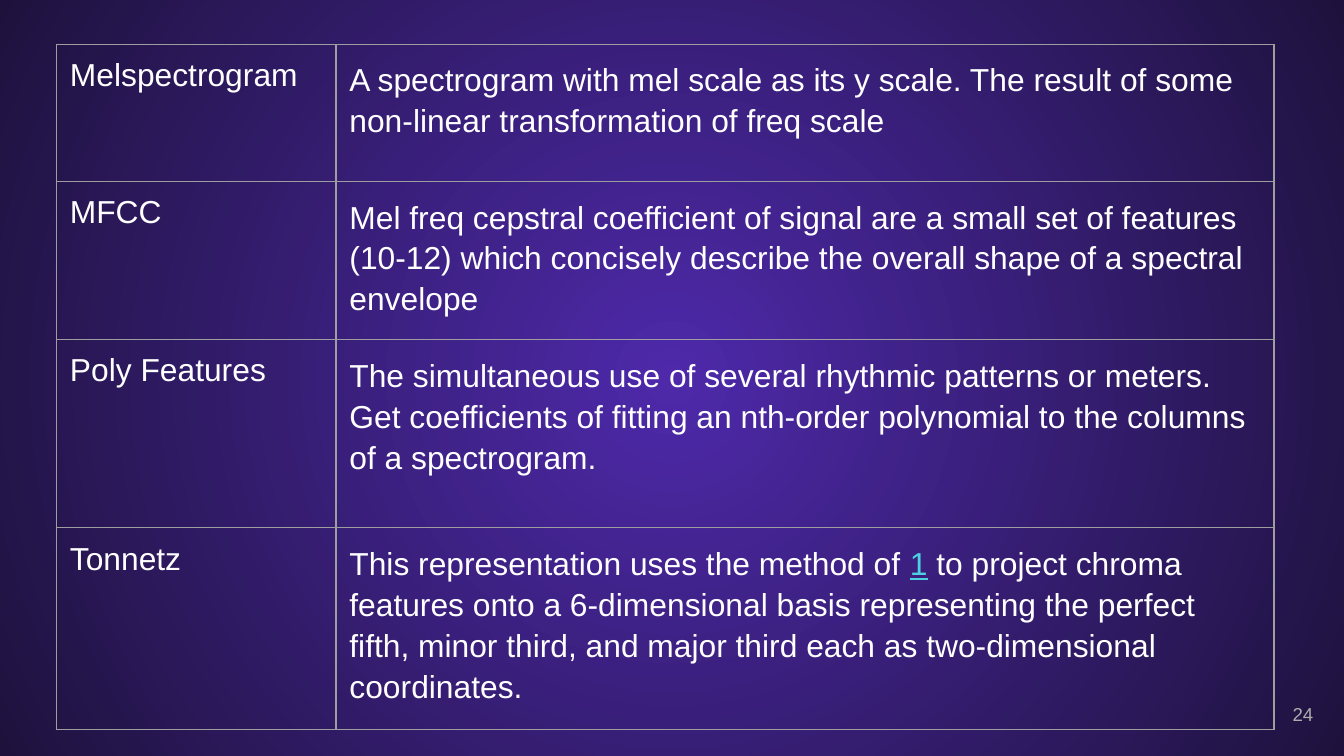
from pptx import Presentation
from pptx import util as u
from pptx.dml.color import RGBColor
from pptx.enum import text
from pptx.oxml import parse_xml
from pptx.oxml.ns import nsdecls, qn

WHITE = RGBColor(0xFF, 0xFF, 0xFF)
CYAN = RGBColor(0x4D, 0xD0, 0xE1)
GREY = RGBColor(0xAD, 0xAD, 0xAD)
VIOLET = RGBColor(0x4E, 0x29, 0xAA)
NIGHT = RGBColor(0x1E, 0x12, 0x3D)
RULE = RGBColor(0x9E, 0x9E, 0x9E)

TERMS = [
    ("Melspectrogram", 1.02, 12, [
        ("A spectrogram with mel scale as its y scale. The result of some "
         "non-linear transformation of freq scale", False)]),
    ("MFCC", 1.02, 12, [
        ("Mel freq cepstral coefficient of signal are a small set of features "
         "(10-12) which concisely describe the overall shape of a spectral "
         "envelope", False)]),
    ("Poly Features", 1.4, 12, [
        ("The simultaneous use of several rhythmic patterns or meters. Get "
         "coefficients of fitting an nth-order polynomial to the columns of a "
         "spectrogram.", False)]),
    ("Tonnetz", 1.4, 18, [
        ("This representation uses the method of ", False),
        ("1", True),
        (" to project chroma features onto a 6-dimensional basis representing "
         "the perfect fifth, minor third, and major third each as "
         "two-dimensional coordinates.", False)]),
]
COLS = (2.08, 6.98)
SIZE = 17
PAGE = "24"
WIDE = 10


def add_run(para, words, size, color):
    run = para.add_run()
    run.text = words
    run.font.name = "Arial"
    run.font.size = u.Pt(size)
    run.font.color.rgb = color
    return run


def set_pad(box):
    box.margin_left = box.margin_right = u.Inches(0.1)
    box.margin_top = box.margin_bottom = u.Inches(0.1)


def style_cell(cell):
    set_pad(cell)
    cell.vertical_anchor = text.MSO_ANCHOR.TOP
    cell.fill.background()
    props = cell._tc.get_or_add_tcPr()
    for i, side in enumerate("LRTB"):
        props.insert(i, parse_xml(
            f'<a:ln{side} {nsdecls("a")} w="{u.Pt(0.75)}"><a:solidFill>'
            f'<a:srgbClr val="{RULE}"/></a:solidFill></a:ln{side}>'))


def fill_cell(cell, parts):
    style_cell(cell)
    para = cell.text_frame.paragraphs[0]
    para.font.size = u.Pt(SIZE)
    for words, cited in parts:
        run = add_run(para, words, SIZE, CYAN if cited else WHITE)
        run.font.underline = cited
    para._p.append(parse_xml(
        f'<a:endParaRPr {nsdecls("a")} sz="{SIZE * 100}"/>'))
    return para


def paint_back(slide):
    fill = slide.background.fill
    fill.gradient()
    for stop, color, pos in zip(fill.gradient_stops, (VIOLET, NIGHT), (0, 1)):
        stop.color.rgb = color
        stop.position = pos
    grad = slide.element.find(".//" + qn("a:gradFill"))
    grad.replace(grad.find(qn("a:lin")), parse_xml(
        f'<a:path {nsdecls("a")} path="circle">'
        '<a:fillToRect l="50000" t="50000" r="50000" b="50000"/></a:path>'))


def add_terms(slide):
    high = sum(row[1] for row in TERMS)
    table = slide.shapes.add_table(
        len(TERMS), len(COLS), u.Inches(0.42), u.Inches(0.33),
        u.Inches(sum(COLS)), u.Inches(high)).table
    table.first_row = table.horz_banding = False
    for col, wide in zip(table.columns, COLS):
        col.width = u.Inches(wide)
    for row, (term, tall, after, parts) in zip(table.rows, TERMS):
        row.height = u.Inches(tall)
        name, note = row.cells
        fill_cell(name, [(term, False)])
        para = fill_cell(note, parts)
        para.line_spacing = 1.15
        para.space_after = u.Pt(after)


def add_page(slide):
    frame = slide.shapes.add_textbox(
        u.Inches(9.27), u.Inches(5.1), u.Inches(0.6), u.Inches(0.43)).text_frame
    frame.word_wrap = True
    frame.vertical_anchor = text.MSO_ANCHOR.MIDDLE
    set_pad(frame)
    para = frame.paragraphs[0]
    para.alignment = text.PP_ALIGN.RIGHT
    add_run(para, PAGE, 10, GREY)


def main():
    deck = Presentation()
    deck.slide_width = u.Inches(WIDE)
    deck.slide_height = u.Inches(WIDE * 9 / 16)
    slide = deck.slides.add_slide(deck.slide_layouts[6])
    paint_back(slide)
    add_page(slide)
    add_terms(slide)
    deck.save("out.pptx")


if __name__ == "__main__":
    main()
